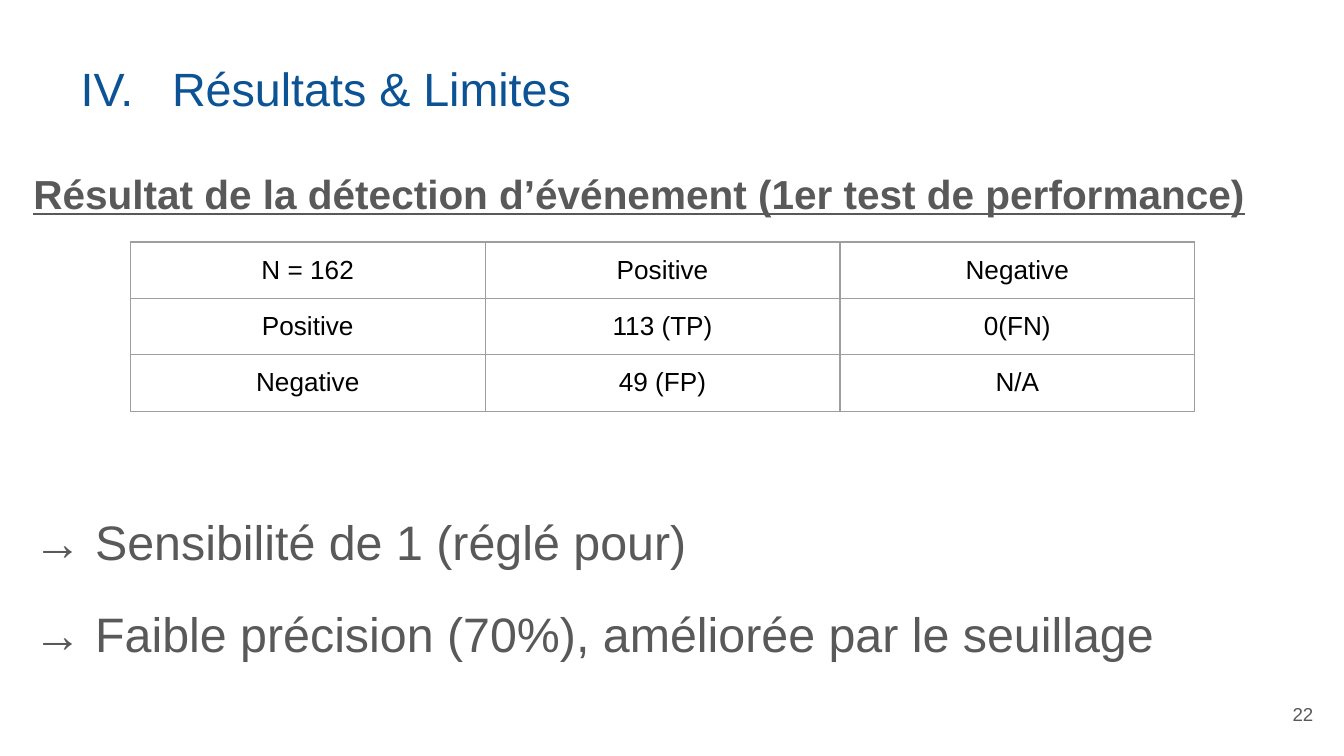
from dataclasses import dataclass

from lxml import etree
from pptx import Presentation
from pptx.dml.color import RGBColor
from pptx.enum.text import MSO_ANCHOR, PP_ALIGN
from pptx.oxml.ns import qn
from pptx.util import Inches, Pt

BLUE = RGBColor(0x0B, 0x53, 0x94)
GREY = RGBColor(0x59, 0x59, 0x59)
BLACK = RGBColor(0, 0, 0)
BORDER_GREY = RGBColor(0x9E, 0x9E, 0x9E)
LEFT, CENTER, RIGHT = PP_ALIGN.LEFT, PP_ALIGN.CENTER, PP_ALIGN.RIGHT
JUSTIFY = PP_ALIGN.JUSTIFY
TOP, MIDDLE, BOTTOM = MSO_ANCHOR.TOP, MSO_ANCHOR.MIDDLE, MSO_ANCHOR.BOTTOM
FONT = "Arial"
INSET = 0.1
BORDER_SIDES = ("a:lnL", "a:lnR", "a:lnT", "a:lnB")
CONFUSION_MATRIX = (
    ("N = 162", "Positive", "Negative"),
    ("Positive", "113 (TP)", "0(FN)"),
    ("Negative", "49 (FP)", "N/A"),
)


@dataclass(frozen=True)
class Box:
    left: float
    top: float
    width: float
    height: float

    def lengths(self) -> tuple:
        return tuple(Inches(value) for value in (self.left, self.top, self.width, self.height))


@dataclass(frozen=True)
class Finding:
    text: str
    space_before: float


FINDINGS = (
    Finding("→ Sensibilité de 1 (réglé pour)", 164),
    Finding("→ Faible précision (70%), améliorée par le seuillage", 24),
)


def write_text(paragraph, text: str, *, size: float, color: RGBColor = GREY,
               align=LEFT, bold: bool = False, underline: bool = False,
               line_spacing: float = 1.0, space_before: float = 0) -> None:
    """Put one formatted run into a paragraph."""
    paragraph.alignment = align
    paragraph.line_spacing = line_spacing
    paragraph.space_before = Pt(space_before)
    run = paragraph.add_run()
    run.text = text
    font = run.font
    font.name = FONT
    font.size = Pt(size)
    font.bold = bold
    font.underline = underline
    font.color.rgb = color


def set_margins(target, left: float = INSET, bottom: float = INSET) -> None:
    """Set the four text margins of a text frame or table cell."""
    target.margin_left = Inches(left)
    target.margin_right = target.margin_top = Inches(INSET)
    target.margin_bottom = Inches(bottom)


def add_text_frame(slide, box: Box, anchor=TOP, left_margin: float = INSET):
    """Add a wrapping text box and return its text frame."""
    frame = slide.shapes.add_textbox(*box.lengths()).text_frame
    frame.word_wrap = True
    frame.vertical_anchor = anchor
    set_margins(frame, left_margin)
    return frame


def set_borders(cell) -> None:
    """Draw a thin grey line on each side of a cell."""
    properties = cell._tc.get_or_add_tcPr()
    for position, side in enumerate(BORDER_SIDES):
        line = etree.Element(qn(side), w=str(Pt(0.75)))
        fill = etree.SubElement(line, qn("a:solidFill"))
        etree.SubElement(fill, qn("a:srgbClr"), val=str(BORDER_GREY))
        properties.insert(position, line)


def add_matrix(slide, box: Box, rows: tuple) -> None:
    """Add the confusion matrix as a plain bordered table."""
    table = slide.shapes.add_table(len(rows), len(rows[0]), *box.lengths()).table
    table.first_row = False
    table.horz_banding = False
    for row_index, values in enumerate(rows):
        for column_index, value in enumerate(values):
            cell = table.cell(row_index, column_index)
            cell.fill.background()
            set_margins(cell, bottom=0.08)
            set_borders(cell)
            write_text(cell.text_frame.paragraphs[0], value, size=14, color=BLACK, align=CENTER)


def main() -> None:
    """Build the results slide and save it."""
    presentation = Presentation()
    presentation.slide_width = Inches(10)
    presentation.slide_height = Inches(10 * 9 / 16)
    slide = presentation.slides.add_slide(presentation.slide_layouts[6])

    title = add_text_frame(slide, Box(0, 0, 5, 0.96), BOTTOM, left_margin=0.6)
    write_text(title.paragraphs[0], "IV.   Résultats & Limites", size=25, color=BLUE)

    body = add_text_frame(slide, Box(0.15, 1.23, 9.56, 4.04))
    write_text(body.paragraphs[0], "Résultat de la détection d’événement (1er test de performance)",
               size=21.7, align=JUSTIFY, bold=True, underline=True, line_spacing=0.8)
    for finding in FINDINGS:
        write_text(body.add_paragraph(), finding.text, size=25.9, align=JUSTIFY,
                   line_spacing=0.8, space_before=finding.space_before)

    page_number = add_text_frame(slide, Box(9.27, 5.1, 0.6, 0.43), MIDDLE)
    write_text(page_number.paragraphs[0], "22", size=10, align=RIGHT)

    add_matrix(slide, Box(0.97, 1.8, 7.92, 1.26), CONFUSION_MATRIX)
    presentation.save("out.pptx")


if __name__ == "__main__":
    main()
